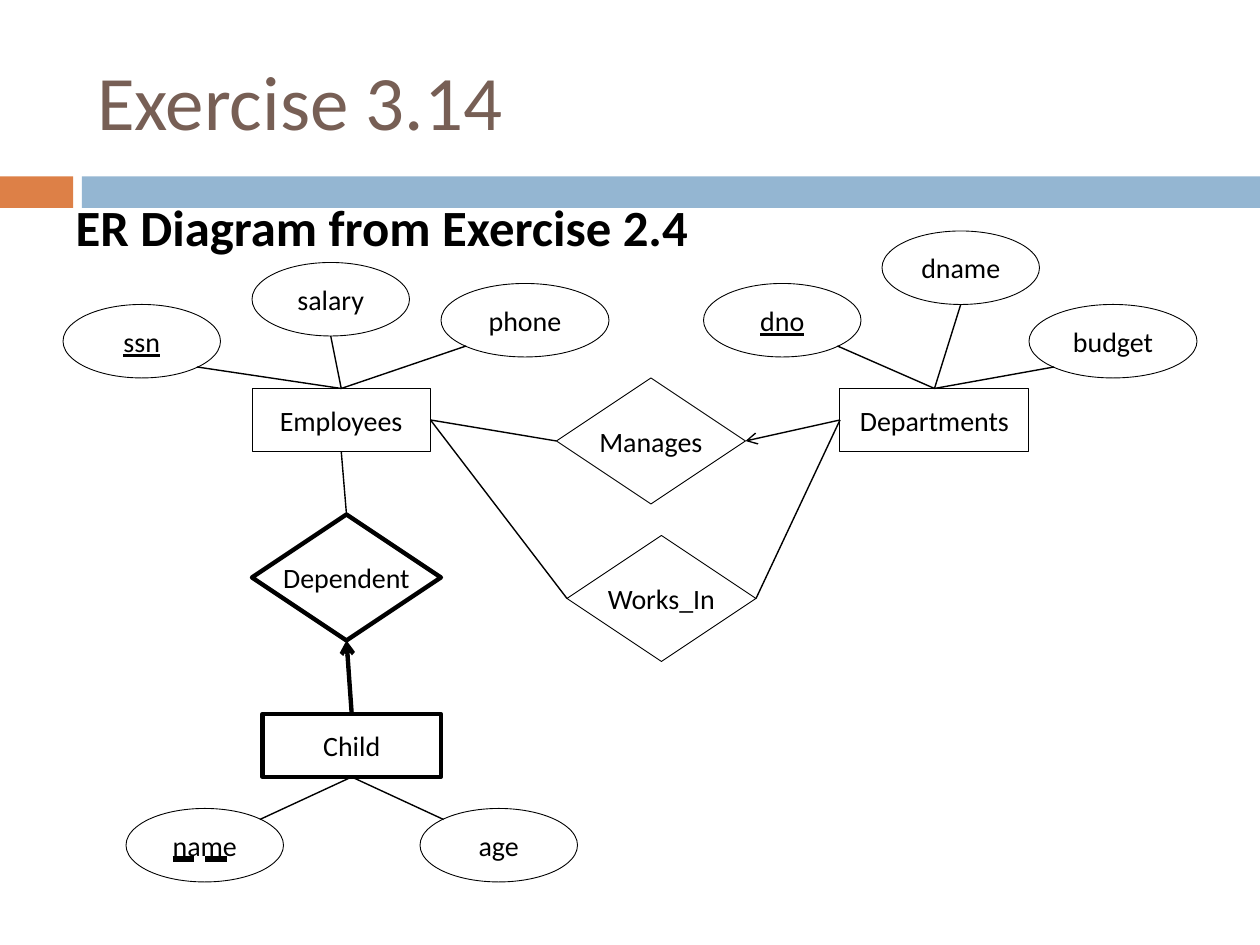
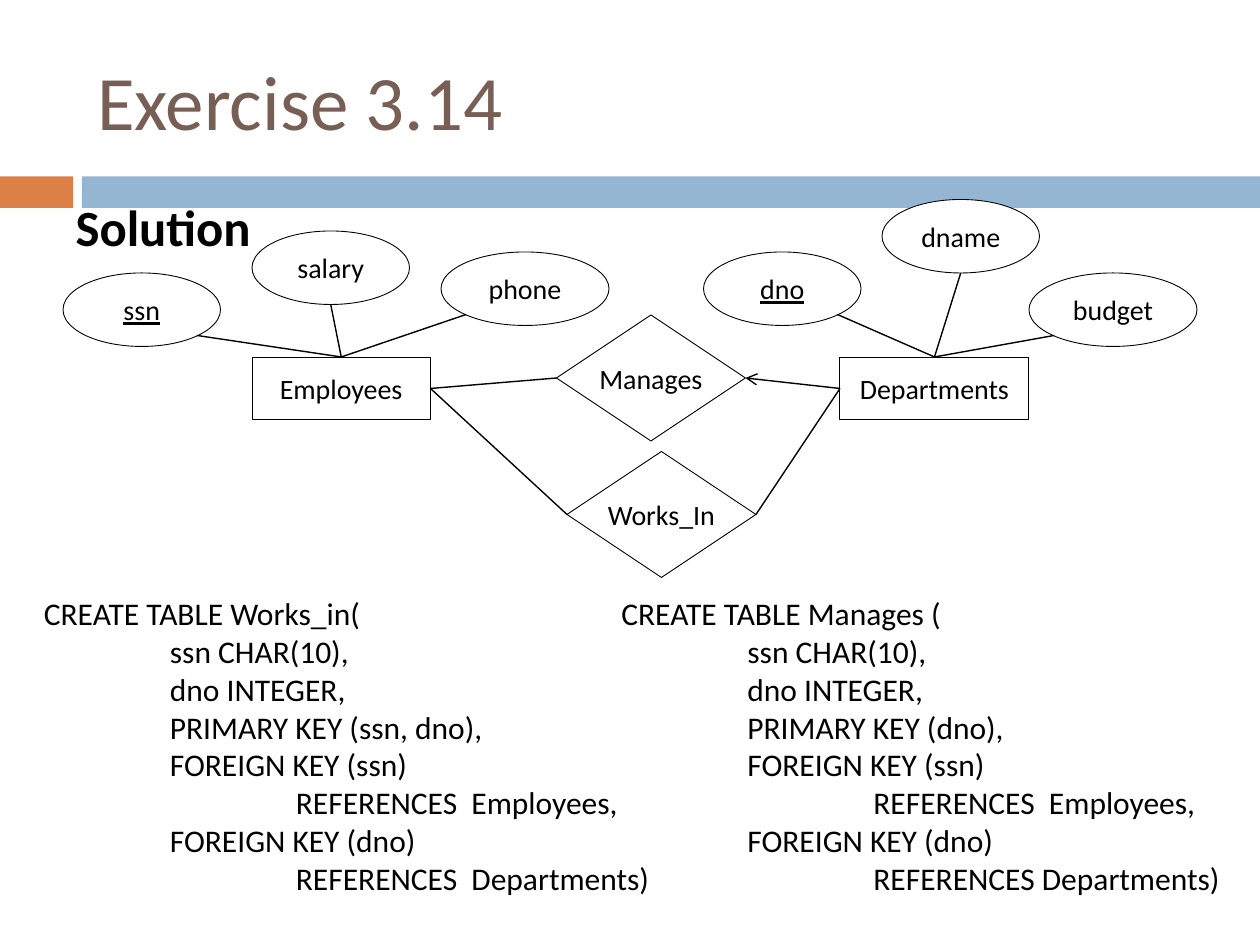
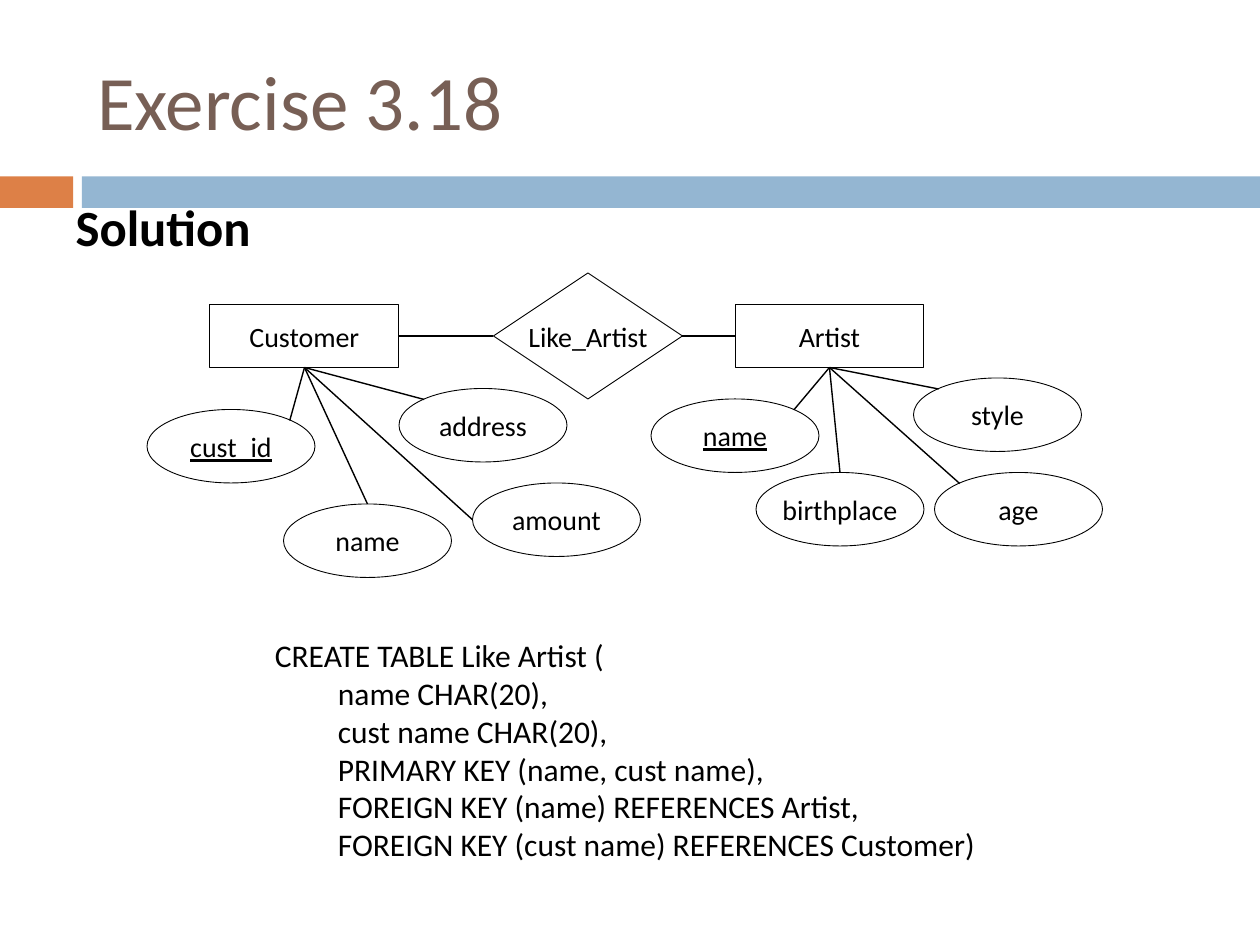
from lxml.etree import SubElement
from pptx import Presentation
from pptx.dml.color import RGBColor
from pptx.enum.shapes import MSO_CONNECTOR, MSO_SHAPE
from pptx.enum.text import MSO_ANCHOR, MSO_UNDERLINE, PP_ALIGN
from pptx.oxml.ns import qn
from pptx.util import Inches, Pt

COLORS = {"title": "775F55", "accent": "DD8047", "band": "94B6D2",
          "ink": "000000", "paper": "FFFFFF"}
FONT = "Calibri"
CELL = 1 / 12  # grid step in inches: the slide is 120 columns by 90 rows
THIN, LINK, THICK = 0.5, 0.79, 2.5
TITLE_AREA = (0.67, 0.25, 8.92, 1.08)
BODY_AREA = (0.5, 1.5, 9, 5.58)
BANDS = [("accent", 0, 0.58), ("band", 0.65, 9.35)]  # colour, left, width

# Node kinds: preset shape and height in rows
KINDS = {"entity": (MSO_SHAPE.RECTANGLE, 6),
         "relation": (MSO_SHAPE.DIAMOND, 12),
         "attribute": (MSO_SHAPE.OVAL, 7)}

# Where links meet a node, as shares of its width and height
NEAR, FAR = 0.15, 0.85
POINTS = {"top": (0.5, 0), "left": (0, 0.5), "bottom": (0.5, 1), "right": (1, 0.5),
          "top left": (NEAR, NEAR), "top right": (FAR, NEAR),
          "bottom left": (NEAR, FAR), "bottom right": (FAR, FAR)}
SITES = ["top", "left", "bottom", "right"]  # connection site numbers 0 to 3


# Content: nodes are (kind, name, column, row, columns wide);
# the label is the part of the name after the dot
def company_nodes(entity_row, manages_row, works_row):
    return [
        ("entity", "Departments", 80, entity_row, 18),
        ("entity", "Employees", 24, entity_row, 17),
        ("attribute", "phone", 42, entity_row - 10, 16),
        ("attribute", "ssn", 6, entity_row - 8, 15),
        ("attribute", "salary", 24, entity_row - 12, 15),
        ("attribute", "budget", 98, entity_row - 8, 16),
        ("attribute", "dno", 67, entity_row - 10, 15),
        ("attribute", "dname", 84, entity_row - 15, 15),
        ("relation", "Manages", 53, manages_row, 18),
        ("relation", "Works_In", 54, works_row, 18),
    ]


# Links are (from, point, to, point)
COMPANY_LINKS = [
    ("Employees", "right", "Works_In", "left"),
    ("Works_In", "right", "Departments", "left"),
    ("Employees", "right", "Manages", "left"),
    ("ssn", "bottom right", "Employees", "top"),
    ("salary", "bottom", "Employees", "top"),
    ("phone", "bottom left", "Employees", "top"),
    ("dno", "bottom right", "Departments", "top"),
    ("dname", "bottom", "Departments", "top"),
    ("budget", "bottom left", "Departments", "top"),
]
COMPANY_ARROWS = [("Departments", "left", "Manages", "right")]

CHILD_NODES = [
    ("entity", "Child", 25, 68, 17),
    ("relation", "Dependent", 24, 49, 18),
    ("attribute", "Child.name", 12, 77, 15),
    ("attribute", "age", 40, 77, 15),
]
CHILD_LINKS = [
    ("Child", "bottom", "age", "top left"),
    ("Child", "bottom", "Child.name", "top right"),
    ("Employees", "bottom", "Dependent", "top"),
]
CHILD_ARROWS = [("Child", "top", "Dependent", "bottom")]

ARTIST_NODES = [
    ("entity", "Customer", 20, 29, 18),
    ("entity", "Artist", 70, 29, 18),
    ("relation", "Like_Artist", 47, 26, 18),
    ("attribute", "birthplace", 72, 45, 16),
    ("attribute", "style", 87, 36, 16),
    ("attribute", "age", 89, 45, 16),
    ("attribute", "Artist.name", 62, 38, 16),
    ("attribute", "Customer.name", 27, 48, 16),
    ("attribute", "address", 38, 37, 16),
    ("attribute", "amount", 45, 46, 16),
    ("attribute", "cust_id", 14, 39, 16),
]
ARTIST_LINKS = [
    ("Artist", "left", "Like_Artist", "right"),
    ("Customer", "right", "Like_Artist", "left"),
    ("Customer", "bottom", "cust_id", "top right"),
    ("Customer", "bottom", "Customer.name", "top"),
    ("Customer", "bottom", "amount", "left"),
    ("Customer", "bottom", "address", "top left"),
    ("Artist", "bottom", "style", "top left"),
    ("Artist", "bottom", "age", "top left"),
    ("Artist", "bottom", "birthplace", "top"),
    ("Artist", "bottom", "Artist.name", "top right"),
]
KEYS = {"ssn", "dno", "cust_id", "Artist.name"}
PARTIAL_KEYS = {"Child.name"}
WEAK = {"Child", "Dependent"}

# Code blocks: column, row, columns wide, indent step, lines of (level, text)
WORKS_IN_SQL = (3, 56, 63, 1, [
    (0, "CREATE TABLE Works_in("),
    (1, "ssn CHAR(10),"),
    (1, "dno INTEGER,"),
    (1, "PRIMARY KEY (ssn, dno),"),
    (1, "FOREIGN KEY (ssn)"),
    (2, "REFERENCES  Employees,"),
    (1, "FOREIGN KEY (dno)"),
    (2, "REFERENCES  Departments)"),
])
MANAGES_SQL = (58, 56, 62, 1, [
    (0, "CREATE TABLE Manages ("),
    (1, "ssn CHAR(10),"),
    (1, "dno INTEGER,"),
    (1, "PRIMARY KEY (dno),"),
    (1, "FOREIGN KEY (ssn)"),
    (2, "REFERENCES  Employees,"),
    (1, "FOREIGN KEY (dno)"),
    (2, "REFERENCES Departments)"),
])
LIKE_ARTIST_SQL = (25, 60, 70, 0.5, [
    (0, "CREATE TABLE Like Artist ("),
    (1, "name CHAR(20),"),
    (1, "cust name CHAR(20),"),
    (1, "PRIMARY KEY (name, cust name),"),
    (1, "FOREIGN KEY (name) REFERENCES Artist,"),
    (1, "FOREIGN KEY (cust name) REFERENCES Customer)"),
])

SLIDES = [
    {"title": "Exercise 3.14", "heading": "ER Diagram from Exercise 2.4",
     "nodes": company_nodes(37, 36, 51) + CHILD_NODES,
     "links": COMPANY_LINKS + CHILD_LINKS,
     "arrows": COMPANY_ARROWS + CHILD_ARROWS, "code": []},
    {"title": "Exercise 3.14", "heading": "Solution", "body_height": 3.17,
     "nodes": company_nodes(34, 30, 43), "links": COMPANY_LINKS,
     "arrows": COMPANY_ARROWS, "code": [WORKS_IN_SQL, MANAGES_SQL]},
    {"title": "Exercise 3.18", "heading": "Solution",
     "nodes": ARTIST_NODES, "links": ARTIST_LINKS,
     "arrows": [], "code": [LIKE_ARTIST_SQL]},
]


def color(name):
    return RGBColor.from_string(COLORS[name])


def grid(cells):
    return Inches(cells * CELL)


def place(shape, area):
    shape.left, shape.top, shape.width, shape.height = map(Inches, area)


def style(para, size, ink="ink", align=PP_ALIGN.LEFT, bold=False, underline=None):
    para.alignment = align
    for span in para.runs:
        font = span.font
        font.name, font.size, font.bold = FONT, Pt(size), bold
        font.underline = underline
        font.color.rgb = color(ink)


def set_indent(para, inches):
    properties = para._p.get_or_add_pPr()
    properties.set("marL", str(Inches(inches)))
    properties.set("indent", "0")
    return properties


def prepare_layout(layout, page):
    """Place the shared title, body and bands on the layout."""
    place(layout.placeholders[0], TITLE_AREA)
    place(layout.placeholders[1], BODY_AREA)
    for fill, left, width in BANDS:
        band = page.shapes.add_shape(MSO_SHAPE.RECTANGLE, Inches(left), Inches(1.4),
                                     Inches(width), Inches(0.25))
        band.shadow.inherit = False
        band.fill.solid()
        band.fill.fore_color.rgb = color(fill)
        band.line.fill.background()
        layout.shapes._spTree.insert(2, band._element)


def add_headings(page, content):
    title, body = page.shapes.title, page.placeholders[1]
    title.text_frame.text = content["title"]
    title.text_frame.vertical_anchor = MSO_ANCHOR.MIDDLE
    style(title.text_frame.paragraphs[0], 44, "title")

    if "body_height" in content:
        place(body, BODY_AREA[:3] + (content["body_height"],))
    body.text_frame.text = content["heading"]
    para = body.text_frame.paragraphs[0]
    style(para, 29, bold=True)
    para.space_before = Pt(7)
    SubElement(set_indent(para, 0), qn("a:buNone"))


def add_node(page, kind, name, column, row, columns):
    preset, rows = KINDS[kind]
    node = page.shapes.add_shape(preset, grid(column), grid(row), grid(columns), grid(rows))
    node.shadow.inherit = False
    node.fill.solid()
    node.fill.fore_color.rgb = color("paper")
    node.line.color.rgb = color("ink")
    node.line.width = Pt(THICK if name in WEAK else THIN)
    frame = node.text_frame
    frame.word_wrap = False
    frame.vertical_anchor = MSO_ANCHOR.MIDDLE
    frame.margin_left = frame.margin_right = frame.margin_top = frame.margin_bottom = 0
    frame.text = name.split(".")[-1]
    underline = True if name in KEYS else None
    if name in PARTIAL_KEYS:
        underline = MSO_UNDERLINE.DASH_HEAVY_LINE
    style(frame.paragraphs[0], 16, align=PP_ALIGN.CENTER, underline=underline)
    return node


def point_on(node, point):
    across, down = POINTS[point]
    return int(node.left + node.width * across), int(node.top + node.height * down)


def add_link(page, nodes, link, arrow=False):
    start, start_point, end, end_point = link
    line = page.shapes.add_connector(MSO_CONNECTOR.STRAIGHT,
                                     *point_on(nodes[start], start_point),
                                     *point_on(nodes[end], end_point))
    # Ovals number their sites differently, so only the others are joined
    for name, point, connect in ((start, start_point, line.begin_connect),
                                 (end, end_point, line.end_connect)):
        if nodes[name].auto_shape_type != MSO_SHAPE.OVAL:
            connect(nodes[name], SITES.index(point))
    line.line.color.rgb = color("ink")
    line.line.width = Pt(THICK if {start, end} <= WEAK else LINK)
    properties = line._element.spPr
    if arrow:
        SubElement(properties.find(qn("a:ln")), qn("a:tailEnd"), type="arrow")
    SubElement(properties, qn("a:effectLst"))


def add_code(page, column, row, columns, step, lines):
    box = page.shapes.add_textbox(grid(column), grid(row), grid(columns),
                                  Inches(0.1 + 0.3 * len(lines)))
    frame = box.text_frame
    frame.word_wrap = True
    frame.text = "\n".join(text for level, text in lines)
    for para, (level, text) in zip(frame.paragraphs, lines):
        style(para, 18)
        set_indent(para, level * step)


def main():
    deck = Presentation()
    deck.slide_width, deck.slide_height = Inches(10), Inches(7.5)
    layout = deck.slide_layouts[1]
    for number, content in enumerate(SLIDES):
        page = deck.slides.add_slide(layout)
        if number == 0:
            prepare_layout(layout, page)
        add_headings(page, content)
        nodes = {node[1]: add_node(page, *node) for node in content["nodes"]}
        for link in content["links"]:
            add_link(page, nodes, link)
        for link in content["arrows"]:
            add_link(page, nodes, link, arrow=True)
        for block in content["code"]:
            add_code(page, *block)
    deck.save("out.pptx")


if __name__ == "__main__":
    main()
